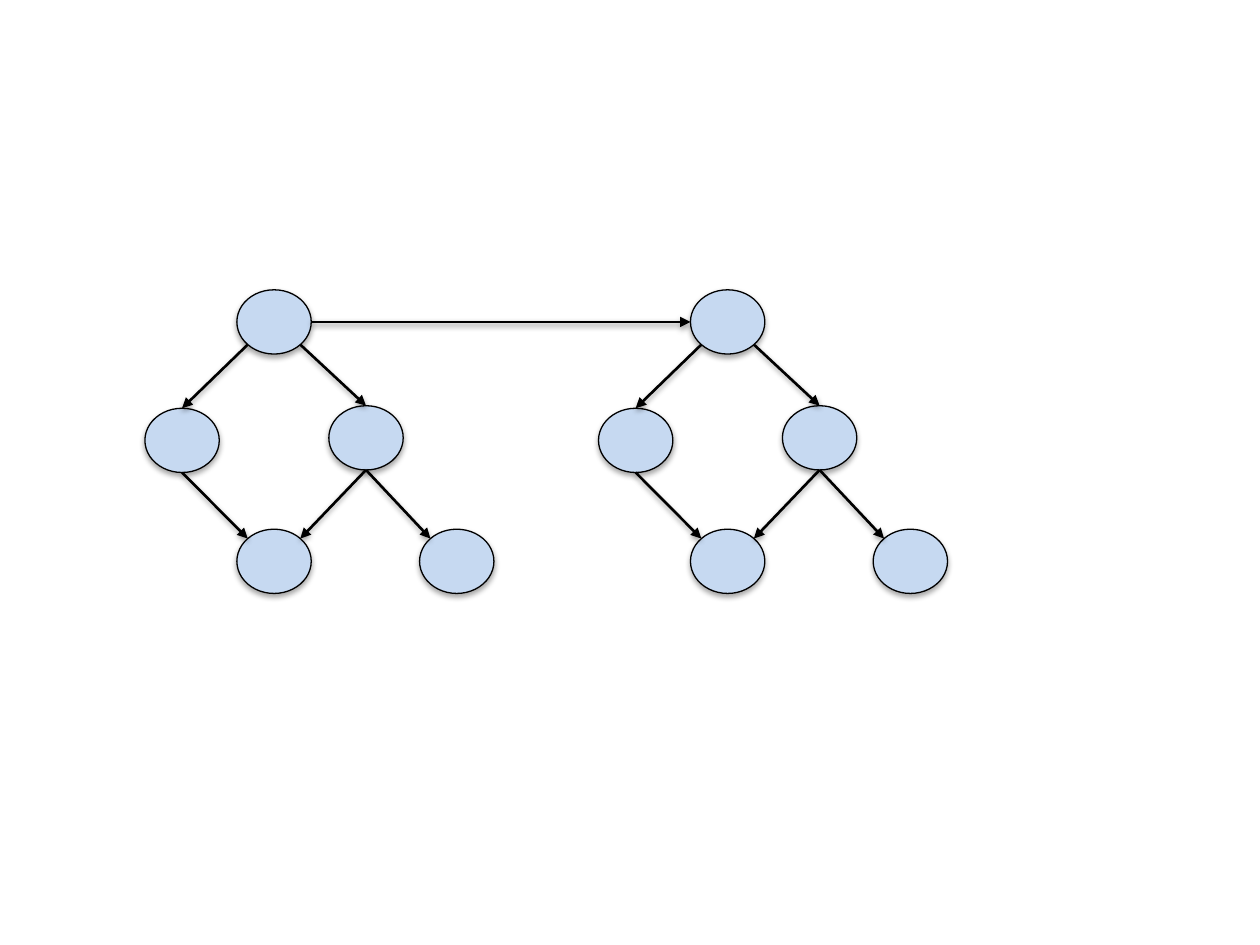
from dataclasses import dataclass
from math import cos, radians, sin

from lxml.etree import SubElement
from pptx import Presentation
from pptx.dml.color import RGBColor
from pptx.enum.shapes import MSO_CONNECTOR, MSO_SHAPE
from pptx.oxml.ns import qn
from pptx.util import Inches, Pt


@dataclass(frozen=True)
class Theme:
    fill: RGBColor = RGBColor(0xC6, 0xD9, 0xF1)
    ink: RGBColor = RGBColor(0, 0, 0)
    rim: float = 0.75
    edge: float = 1.5


THEME = Theme()
WIDE, HIGH = 0.59, 0.51
STEP = 3.6
NODES = {
    "root": (1.88, 2.3),
    "left": (1.15, 3.24),
    "right": (2.61, 3.22),
    "join": (1.88, 4.2),
    "leaf": (3.33, 4.2),
}
EAST, SOUTH, NORTH = 0, 90, 270
SE, SW, NW, NE = 45, 135, 225, 315
EDGES = [
    ("root", SW, "left", NORTH),
    ("root", SE, "right", NORTH),
    ("left", SOUTH, "join", NW),
    ("right", SOUTH, "join", NE),
    ("right", SOUTH, "leaf", NW),
]
WEST = 180


def rim_point(name, angle, shift):
    left, top = NODES[name]
    turn = radians(angle)
    x = left + shift + WIDE / 2 * (1 + cos(turn))
    y = top + HIGH / 2 * (1 + sin(turn))
    return Inches(x), Inches(y)


def add_node(slide, name, shift):
    left, top = NODES[name]
    node = slide.shapes.add_shape(
        MSO_SHAPE.OVAL, Inches(left + shift), Inches(top), Inches(WIDE), Inches(HIGH)
    )
    node.fill.solid()
    node.fill.fore_color.rgb = THEME.fill
    node.line.color.rgb = THEME.ink
    node.line.width = Pt(THEME.rim)


def add_arrow(slide, start, end):
    arrow = slide.shapes.add_connector(MSO_CONNECTOR.STRAIGHT, *start, *end)
    arrow.line.color.rgb = THEME.ink
    arrow.line.width = Pt(THEME.edge)
    SubElement(arrow.line._get_or_add_ln(), qn("a:tailEnd"), type="triangle")


def add_graph(slide, shift):
    for name in NODES:
        add_node(slide, name, shift)
    for tail, out, head, into in EDGES:
        add_arrow(slide, rim_point(tail, out, shift), rim_point(head, into, shift))


def main():
    deck = Presentation()
    deck.slide_width, deck.slide_height = Inches(10), Inches(7.5)
    slide = deck.slides.add_slide(deck.slide_layouts[6])
    for shift in (0, STEP):
        add_graph(slide, shift)
    add_arrow(slide, rim_point("root", EAST, 0), rim_point("root", WEST, STEP))
    deck.save("out.pptx")


if __name__ == "__main__":
    main()
